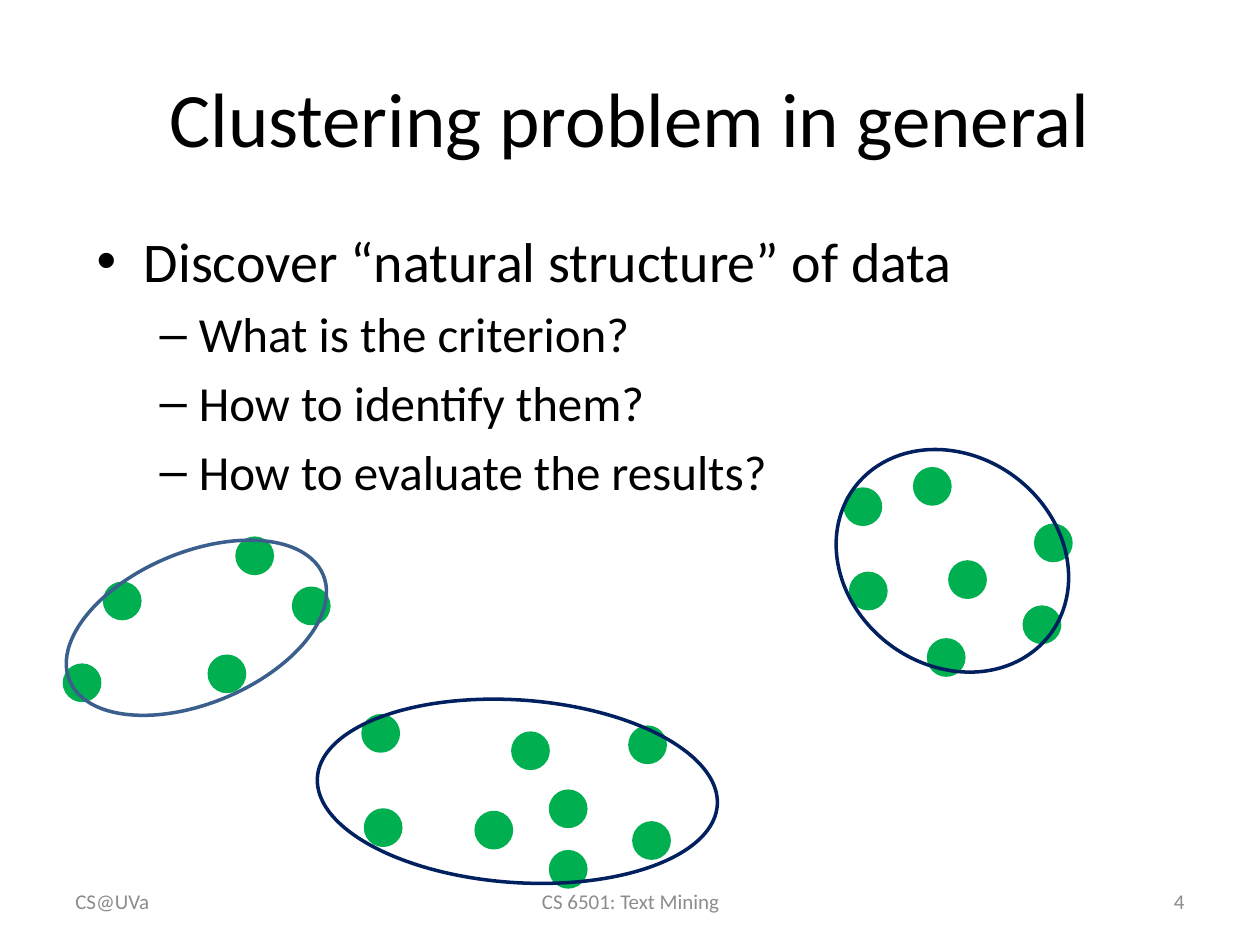
from lxml import etree
from pptx import Presentation
from pptx.dml.color import RGBColor
from pptx.enum.shapes import MSO_SHAPE
from pptx.enum.text import MSO_ANCHOR, PP_ALIGN
from pptx.oxml.ns import qn
from pptx.util import Cm, Pt

OVAL = MSO_SHAPE.OVAL
TOP, MIDDLE = MSO_ANCHOR.TOP, MSO_ANCHOR.MIDDLE
LEFT, CENTER, RIGHT = PP_ALIGN.LEFT, PP_ALIGN.CENTER, PP_ALIGN.RIGHT

BLACK = RGBColor(0x00, 0x00, 0x00)
GRAY = RGBColor(0x8C, 0x8C, 0x8C)
GREEN = RGBColor(0x00, 0xB0, 0x50)
STEEL = RGBColor(0x3A, 0x5F, 0x8C)
NAVY = RGBColor(0x00, 0x20, 0x60)

FONT = "Calibri"
DOT_SIZE = 0.71

TITLE = "Clustering problem in general"
BULLETS = [
    (0, "Discover “natural structure” of data"),
    (1, "What is the criterion?"),
    (1, "How to identify them?"),
    (1, "How to evaluate the results?"),
]
LEVELS = [
    {"size": 32, "margin": 0.95, "hang": 0.95, "char": "•"},
    {"size": 28, "margin": 2.06, "hang": 0.79, "char": "–"},
]
FOOTERS = [
    ("CS@UVa", 1.27, 5.92, LEFT),
    ("CS 6501: Text Mining", 8.69, 8.05, CENTER),
    ("4", 18.21, 5.92, RIGHT),
]
CLUSTERS = [
    {
        "outline": (1.19, 11.13, 5.54, 3.05), "rotation": 337.4, "color": STEEL,
        "dots": [(2.11, 11.76), (5.92, 11.86), (4.78, 10.85), (1.3, 13.41), (4.22, 13.23)],
    },
    {
        "outline": (8.59, 11.91, 3.68, 8.08), "rotation": 274, "color": NAVY,
        "dots": [(7.32, 14.43), (10.34, 14.78), (11.1, 15.95), (11.1, 17.17),
                 (9.6, 16.38), (7.37, 16.33), (12.7, 14.66), (12.78, 16.59)],
    },
    {
        "outline": (17.09, 8.84, 4.22, 4.93), "rotation": 306.8, "color": NAVY,
        "dots": [(18.72, 12.9), (17.15, 11.56), (18.44, 9.45), (19.15, 11.33),
                 (20.88, 10.59), (20.65, 12.24), (17.04, 9.86)],
    },
]


def add_text(slide, box, lines, size, color=BLACK, align=LEFT, anchor=MIDDLE):
    tf = slide.shapes.add_textbox(*map(Cm, box)).text_frame
    tf.word_wrap = True
    tf.vertical_anchor = anchor
    tf.text = "\n".join(lines)
    for p in tf.paragraphs:
        p.alignment = align
        font = p.runs[0].font
        font.name, font.size = FONT, Pt(size)
        font.color.rgb = color
    return tf


def set_bullet(p, level):
    style = LEVELS[level]
    p.level = level
    p.space_before = Pt(style["size"] * 0.2)
    p.runs[0].font.size = Pt(style["size"])
    pPr = p._p.get_or_add_pPr()
    pPr.set("marL", str(Cm(style["margin"])))
    pPr.set("indent", str(-Cm(style["hang"])))
    etree.SubElement(pPr, qn("a:buFont")).set("typeface", "Arial")
    etree.SubElement(pPr, qn("a:buChar")).set("char", style["char"])


def add_oval(slide, box, color, filled):
    sp = slide.shapes.add_shape(OVAL, *map(Cm, box))
    sp.shadow.inherit = False
    sp.line.color.rgb = color
    sp.line.width = Pt(2)
    if filled:
        sp.fill.solid()
        sp.fill.fore_color.rgb = color
    else:
        sp.fill.background()
    return sp


def main():
    prs = Presentation()
    prs.slide_width, prs.slide_height = Cm(25.4), Cm(19.05)
    slide = prs.slides.add_slide(prs.slide_layouts[6])

    add_text(slide, (1.27, 0.76, 22.86, 3.18), [TITLE], 44, align=CENTER)
    tf = add_text(slide, (1.7, 4.45, 21.59, 11.43), [text for _, text in BULLETS], 28, anchor=TOP)
    for p, (level, _) in zip(tf.paragraphs, BULLETS):
        set_bullet(p, level)

    for text, left, width, align in FOOTERS:
        add_text(slide, (left, 17.65, width, 1.02), [text], 12, GRAY, align)

    for cluster in CLUSTERS:
        for x, y in cluster["dots"]:
            add_oval(slide, (x, y, DOT_SIZE, DOT_SIZE), GREEN, True)
        outline = add_oval(slide, cluster["outline"], cluster["color"], False)
        outline.rotation = cluster["rotation"]

    prs.save("out.pptx")


if __name__ == "__main__":
    main()
